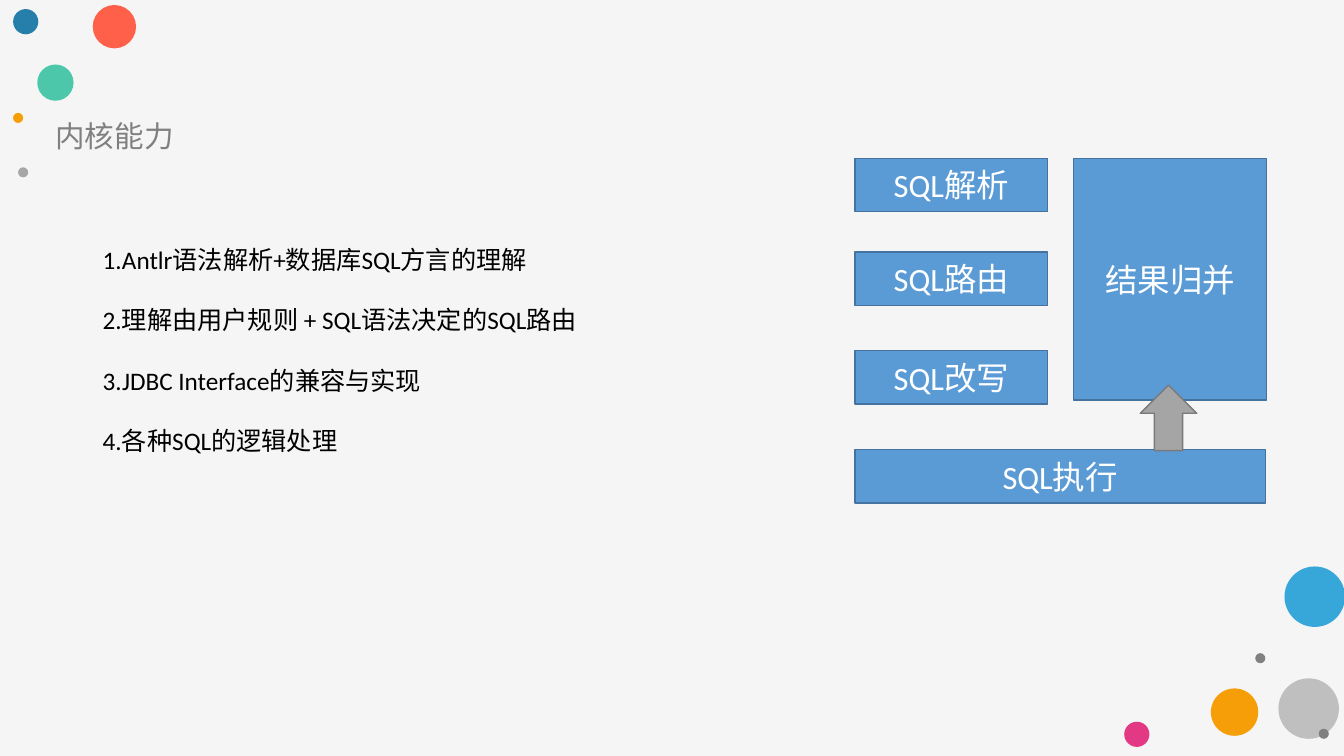
from pptx import Presentation
from pptx.dml.color import RGBColor
from pptx.enum import shapes, text
from pptx.util import Inches, Pt

KIND = shapes.MSO_SHAPE


def color(code):
    return RGBColor.from_string(code)


def apply(target, values):
    for name, value in values.items():
        setattr(target, name, value)


class Deck:
    font = "Calibri"
    fill, edge = "5B9BD5", "43739E"

    def __init__(self):
        self.prs = Presentation()
        apply(self.prs, {"slide_width": Inches(13.33), "slide_height": Inches(7.5)})
        self.slide = self.prs.slides.add_slide(self.prs.slide_layouts[6])
        back = self.slide.background.fill
        back.solid()
        back.fore_color.rgb = color("F5F5F5")

    def shape(self, kind, at, fill, edge=None):
        item = self.slide.shapes.add_shape(kind, *map(Inches, at))
        item.shadow.inherit = False
        item.fill.solid()
        item.fill.fore_color.rgb = color(fill)
        if edge:
            item.line.color.rgb = color(edge)
            item.line.width = Pt(1)
        else:
            item.line.fill.background()
        return item

    def dot(self, left, top, size, fill):
        self.shape(KIND.OVAL, (left, top, size, size), fill)

    def letter(self, item, lines, size, ink, font, frame, para):
        apply(item.text_frame, frame)
        item.text_frame.text = "\n".join(lines)
        for part in item.text_frame.paragraphs:
            apply(part, para)
            for run in part.runs:
                apply(run.font, {"size": Pt(size), "name": font})
                run.font.color.rgb = color(ink)

    def box(self, at, label):
        item = self.shape(KIND.RECTANGLE, at, self.fill, self.edge)
        self.letter(item, [label], 23.2, "FFFFFF", self.font,
                    {"vertical_anchor": text.MSO_ANCHOR.MIDDLE},
                    {"alignment": text.PP_ALIGN.CENTER})

    def label(self, at, lines, size, ink, font, frame, para):
        item = self.slide.shapes.add_textbox(*map(Inches, at))
        self.letter(item, lines, size, ink, font, frame, para)


DOTS = [
    (0.37, 0.64, 0.36, "4CC7AA"),
    (12.68, 6.73, 0.6, "BFBFBF"),
    (12.74, 5.62, 0.6, "37A7D9"),
    (0.92, 0.05, 0.43, "FE604A"),
    (12.01, 6.83, 0.47, "F69E08"),
    (11.15, 7.16, 0.25, "E33884"),
    (0.13, 1.12, 0.1, "F69E08"),
    (0.18, 1.66, 0.1, "A6A6A6"),
    (0.13, 0.09, 0.25, "267FAB"),
    (13.08, 7.23, 0.1, "808080"),
    (12.45, 6.48, 0.1, "808080"),
]
STEPS = [(1.57, "SQL解析"), (2.5, "SQL路由"), (3.48, "SQL改写")]
POINTS = [
    "1.Antlr语法解析+数据库SQL方言的理解",
    "2.理解由用户规则 + SQL语法决定的SQL路由",
    "3.JDBC Interface的兼容与实现",
    "4.各种SQL的逻辑处理",
]


def main():
    deck = Deck()
    for dot in DOTS:
        deck.dot(*dot)

    pad = {"margin_left": Inches(0.08), "margin_right": Inches(0.08),
           "margin_top": Inches(0.04), "margin_bottom": Inches(0.04),
           "word_wrap": False, "vertical_anchor": text.MSO_ANCHOR.MIDDLE}
    deck.label((0.47, 1.13, 1.34, 0.43), ["内核能力"], 21.1, "808080",
               "Noto Sans CJK SC", pad, {})

    left, wide, high = 8.48, 1.91, 0.53
    for top, name in STEPS:
        deck.box((left, top, wide, high), name)
    deck.box((10.65, 1.57, wide, 2.4), "结果归并")
    deck.box((left, 4.46, 4.07, high), "SQL执行")
    deck.shape(KIND.UP_ARROW, (11.31, 3.82, 0.56, 0.65), "A5A5A5", "7A7A7A")

    deck.label((0.92, 2.37, 4.95, 2.22), POINTS, 18, "000000", deck.font,
               {"word_wrap": True}, {"space_after": Pt(21.6)})
    deck.prs.save("out.pptx")


if __name__ == "__main__":
    main()
